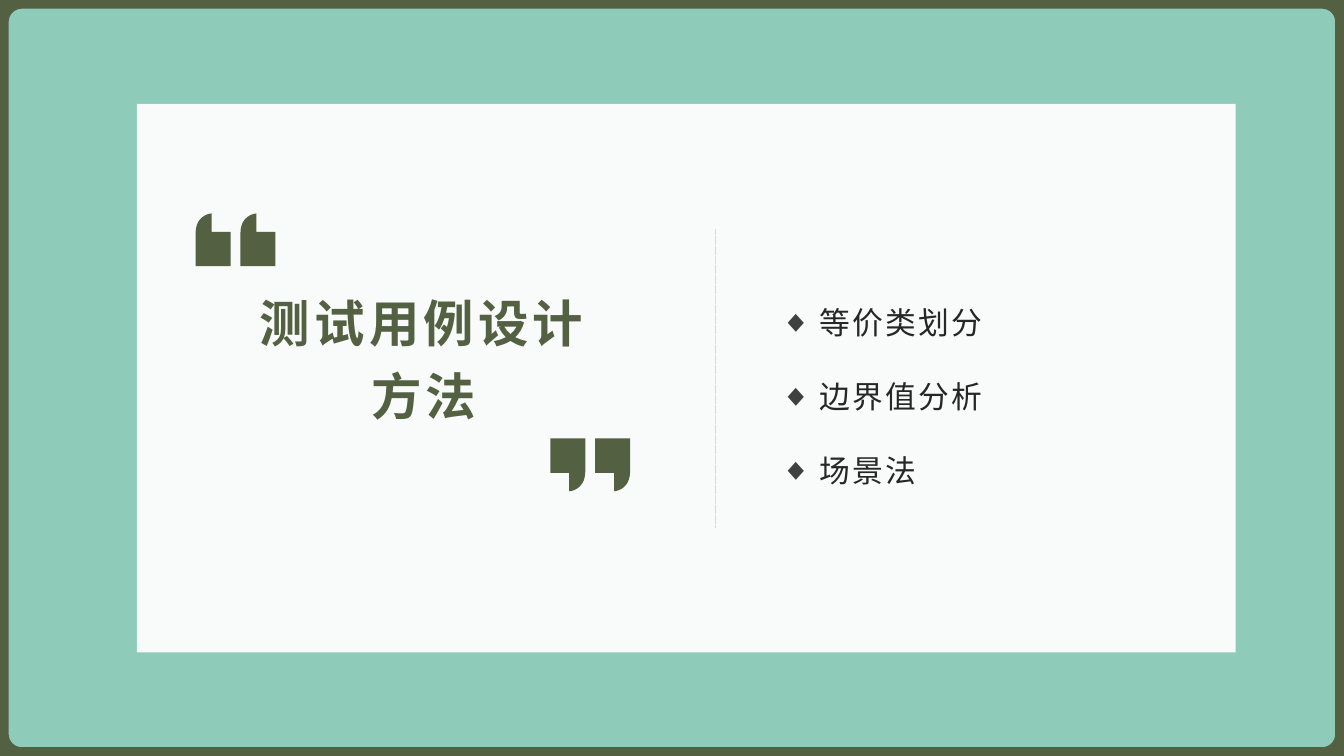
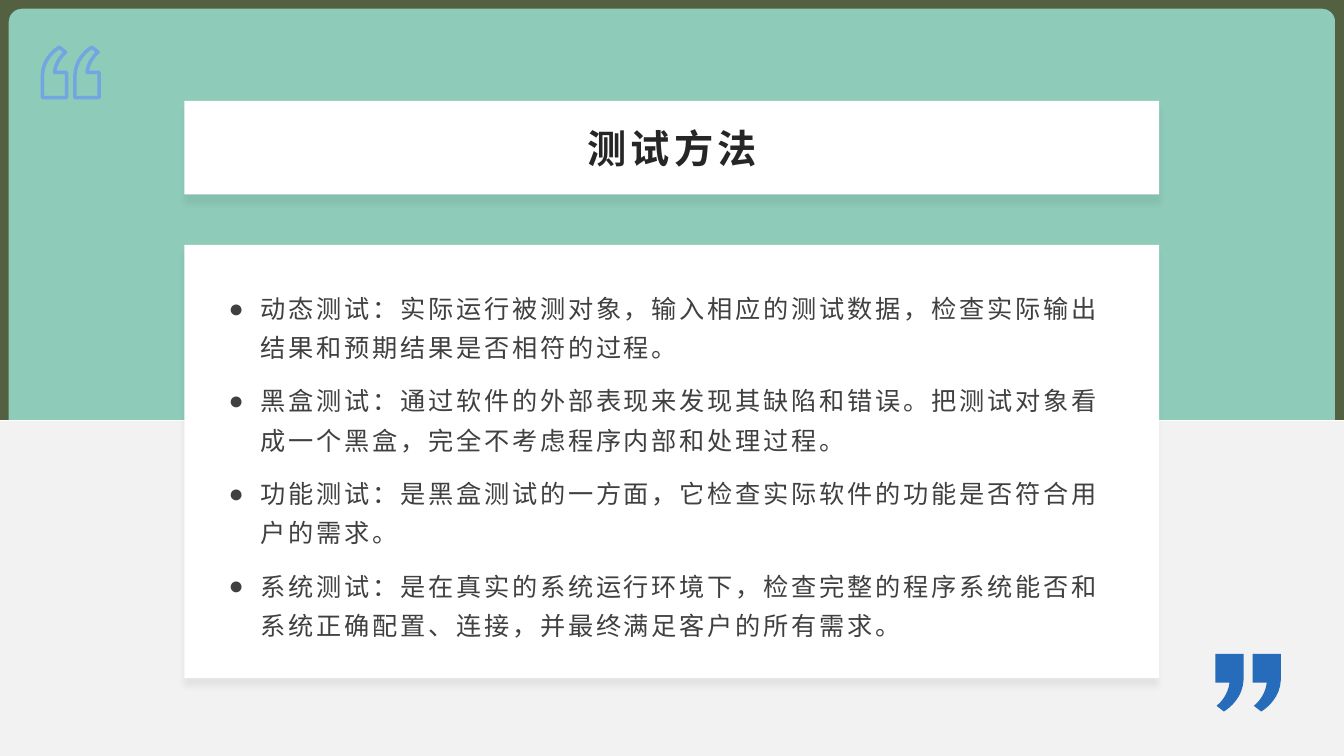
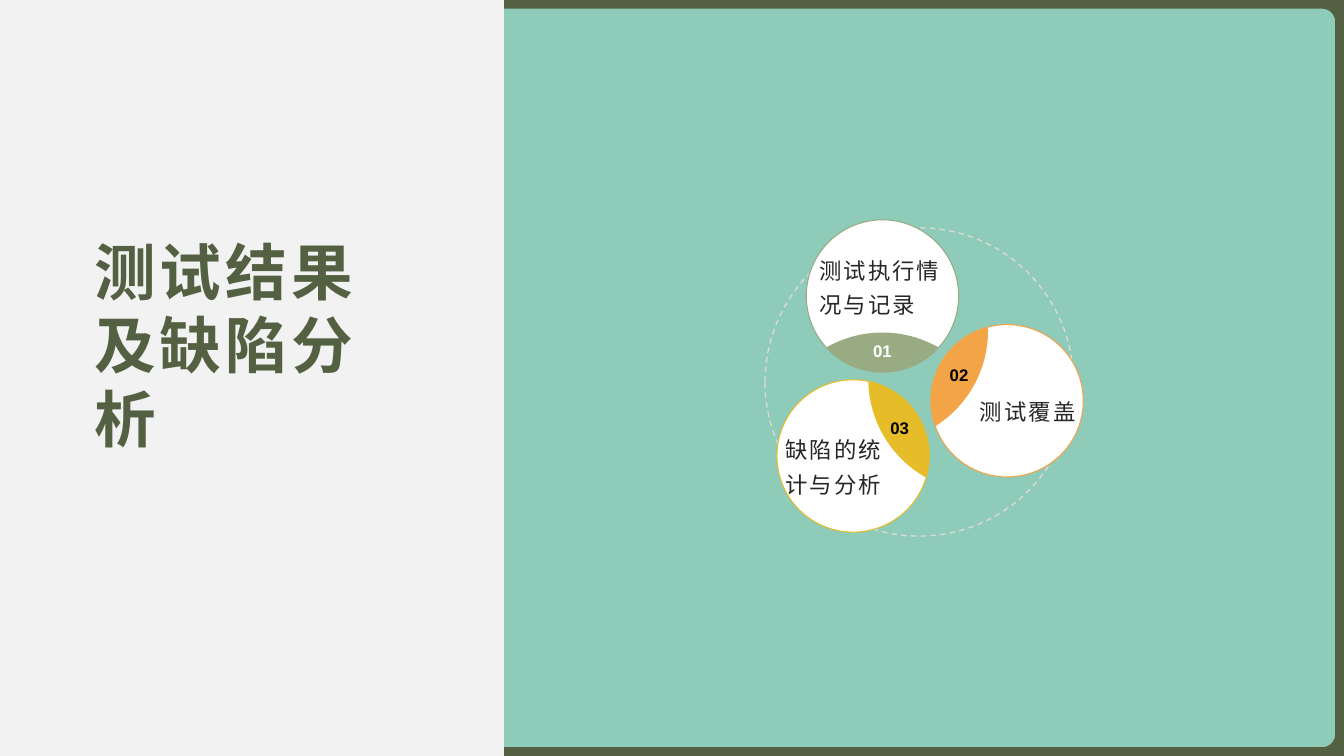
"""Build three slides about software test methods and results."""
from math import asin, cos, degrees, radians, sin

from lxml.etree import SubElement
from pptx import Presentation
from pptx.dml.color import RGBColor
from pptx.enum.dml import MSO_LINE, MSO_PATTERN
from pptx.enum.shapes import MSO_CONNECTOR, MSO_SHAPE
from pptx.enum.text import MSO_ANCHOR, MSO_AUTO_SIZE, PP_ALIGN
from pptx.oxml.ns import qn
from pptx.util import Cm, Pt

WIDTH, HEIGHT = 33.87, 19.05
MINT, OLIVE, WHITE, MIST = "8ECBB8", "536142", "FFFFFF", "F2F2F2"
INK, GREY, RULE = "262626", "404040", "D9D9D9"
BLUE, SKY = "266CBA", "71A6E2"
LATIN, CHINESE = "Arial", "Noto Sans CJK SC"

DESIGN_TITLE = "测试用例设计方法"
DESIGN_METHODS = ["等价类划分", "边界值分析", "场景法"]
TEST_TITLE = "测试方法"
TEST_METHODS = [
    "动态测试：实际运行被测对象，输入相应的测试数据，检查实际输出结果和预期结果是否相符的过程。",
    "黑盒测试：通过软件的外部表现来发现其缺陷和错误。把测试对象看成一个黑盒，完全不考虑程序内部和处理过程。",
    "功能测试：是黑盒测试的一方面，它检查实际软件的功能是否符合用户的需求。",
    "系统测试：是在真实的系统运行环境下，检查完整的程序系统能否和系统正确配置、连接，并最终满足客户的所有需求。",
]
RESULT_TITLE = "测试结果及缺陷分析"
RESULTS = [
    {"number": "01", "caption": "测试执行情况与记录", "color": "99AB83", "number_color": WHITE,
     "center": (22.24, 7.46), "angle": 90, "place": (20.65, 6.27, 3.15, 1.75), "align": PP_ALIGN.LEFT},
    {"number": "02", "caption": "测试覆盖", "color": "F3A447", "number_color": "000000",
     "center": (25.38, 10.1), "angle": 208, "place": (24.64, 8.56, 2.52, 3.4), "align": PP_ALIGN.CENTER},
    {"number": "03", "caption": "缺陷的统计与分析", "color": "E7BC29", "number_color": "000000",
     "center": (21.5, 11.49), "angle": 329, "place": (19.79, 9.98, 2.52, 3.4), "align": PP_ALIGN.LEFT},
]
DISC_RADIUS, BITE_RADIUS, BITE_DISTANCE, NUMBER_DISTANCE = 1.92, 2.84, 3.76, 1.37

BLOCK_MARK = [(0.46, 0), (0.46, 0.35), (1, 0.35), (1, 1), (0, 1), (0, 0.37),
              (0, 0.06, 0.37, 0, 0.46, 0)]
CURLED_MARK = [(0.7, 0), (0.96, 0.1), (0.96, 0.1, 0.56, 0.24, 0.5, 0.5), (1, 0.5), (1, 1),
               (0, 1), (0, 0.55), (0.03, 0.18, 0.7, 0, 0.7, 0)]


def rgb(color):
    """Turn a hex string into a colour."""
    return RGBColor.from_string(color)


def paint(shape, fill=None, line=None, width=0.75):
    """Set fill and line and drop the theme shadow."""
    shape.shadow.inherit = False
    if fill:
        shape.fill.solid()
        shape.fill.fore_color.rgb = rgb(fill)
    else:
        shape.fill.background()
    if line:
        shape.line.color.rgb = rgb(line)
        shape.line.width = Pt(width)
    else:
        shape.line.fill.background()
    return shape


def add_preset(page, kind, place, **look):
    """Add a painted preset shape."""
    return paint(page.shapes.add_shape(kind, *map(Cm, place)), **look)


def add_card(page, place):
    """Add a white card with a soft shadow below it."""
    card = add_preset(page, MSO_SHAPE.RECTANGLE, place, fill=WHITE)
    effects = card._element.spPr.find(qn("a:effectLst"))
    shadow = SubElement(effects, qn("a:outerShdw"), blurRad=str(Pt(4)), dist=str(Pt(6)),
                        dir="5400000", algn="t", rotWithShape="0")
    color = SubElement(shadow, qn("a:srgbClr"), val="000000")
    SubElement(color, qn("a:alpha"), val="6000")


def arc(center, radius, start, end, steps=24):
    """List points along an arc, angles in degrees."""
    angles = [radians(start + (end - start) * i / steps) for i in range(steps + 1)]
    return [(center[0] + radius * cos(a), center[1] + radius * sin(a)) for a in angles]


def flatten(outline, steps=10):
    """Turn points and cubic curves into points."""
    points = []
    for part in outline:
        if len(part) == 2:
            points.append(part)
            continue
        x0, y0 = points[-1]
        x1, y1, x2, y2, x3, y3 = part
        for i in range(1, steps + 1):
            t = i / steps
            u = 1 - t
            a, b, c, d = u ** 3, 3 * u * u * t, 3 * u * t * t, t ** 3
            points.append((a * x0 + b * x1 + c * x2 + d * x3, a * y0 + b * y1 + c * y2 + d * y3))
    return points


def add_outline(page, *contours, **look):
    """Add a painted freeform made of closed contours in centimetres."""
    contours = [[(Cm(x), Cm(y)) for x, y in contour] for contour in contours]
    builder = page.shapes.build_freeform(*contours[0][0], scale=1.0)
    for index, contour in enumerate(contours):
        if index:
            builder.move_to(*contour[0])
        builder.add_line_segments(contour[1:], close=True)
    return paint(builder.convert_to_shape(), **look)


def add_quote(page, mark, place, step, closing=False, **look):
    """Add a pair of quotation marks; closing marks are turned by half."""
    left, top, width, height = place
    points = flatten(mark)
    if closing:
        points = [(1 - x, 1 - y) for x, y in points]
    for offset in (0, step):
        shape = add_outline(page, [(left + offset + x * width, top + y * height)
                                   for x, y in points], **look)
        if look.get("line"):
            SubElement(shape._element.spPr.find(qn("a:ln")), qn("a:round"))


def write(box, lines, size, color, font=CHINESE, bold=False, tracking=0, align=PP_ALIGN.LEFT,
          leading=1.0, before=0, bullet=None, indent=0, wrap=True, inset=None):
    """Fill a box with formatted paragraphs."""
    frame = box.text_frame
    frame.text = "\n".join(lines)
    frame.word_wrap = wrap
    frame.auto_size = MSO_AUTO_SIZE.NONE
    frame.vertical_anchor = MSO_ANCHOR.MIDDLE
    if inset is not None:
        frame.margin_left = frame.margin_right = frame.margin_top = frame.margin_bottom = Cm(inset)
    for para in frame.paragraphs:
        para.alignment = align
        para.line_spacing = leading
        para.space_before = Pt(before)
        if bullet:
            props = para._p.get_or_add_pPr()
            props.set("marL", str(Cm(indent)))
            props.set("indent", str(-Cm(indent)))
            SubElement(SubElement(props, qn("a:buClr")), qn("a:srgbClr"), val=GREY)
            SubElement(props, qn("a:buFont"), typeface=LATIN)
            SubElement(props, qn("a:buChar"), char=bullet)
        for span in para.runs:
            span.font.size = Pt(size)
            span.font.bold = bold
            span.font.color.rgb = rgb(color)
            span.font.name = font
            props = span._r.get_or_add_rPr()
            props.set("spc", str(int(tracking * 100)))
            SubElement(props, qn("a:ea"), typeface=font)


def fill_placeholder(page, index, place, lines, **style):
    """Move a placeholder to the front and fill it."""
    box = page.placeholders[index]
    box.left, box.top, box.width, box.height = map(Cm, place)
    page.shapes._spTree.append(box._element)
    write(box, lines, **style)


def add_title(page, place, text, size, color=OLIVE, **style):
    """Fill the title in the shared title style."""
    fill_placeholder(page, 0, place, [text], size=size, color=color, bold=True, tracking=3, **style)


def add_label(page, place, text, **style):
    """Add a text box without insets."""
    write(page.shapes.add_textbox(*map(Cm, place)), [text], inset=0, **style)


def dress_master(deck, page):
    """Give the master its background and rounded frame."""
    master = deck.slide_master
    master.background.fill.solid()
    master.background.fill.fore_color.rgb = rgb(MINT)
    near, radius = 0.22, 0.33
    low, right, bottom = near + radius, WIDTH - near - radius, HEIGHT - near - radius
    corners = [(right, bottom), (low, bottom), (low, low), (right, low)]
    inner = [point for turn, corner in enumerate(corners)
             for point in arc(corner, radius, turn * 90, turn * 90 + 90, 8)]
    outer = [(0, 0), (WIDTH, 0), (WIDTH, HEIGHT), (0, HEIGHT)]
    frame = add_outline(page, inner, outer, fill=OLIVE)
    master.shapes._spTree.insert(2, frame._element)


def build_design(page):
    """Quoted title beside the design methods."""
    panel = add_preset(page, MSO_SHAPE.RECTANGLE, (3.45, 2.62, 27.69, 13.82), fill=WHITE)
    color = panel._element.spPr.find(qn("a:solidFill"))[0]
    SubElement(color, qn("a:alpha"), val="94000")
    divider = page.shapes.add_connector(MSO_CONNECTOR.STRAIGHT, Cm(18.03), Cm(5.77), Cm(18.03), Cm(13.28))
    divider.line.color.rgb = rgb(RULE)
    divider.line.width = Pt(0.1)
    divider.line.dash_style = MSO_LINE.DASH
    SubElement(divider._element.spPr, qn("a:effectLst"))
    add_quote(page, BLOCK_MARK, (4.93, 5.38, 0.88, 1.33), 1.13, fill=OLIVE)
    add_quote(page, BLOCK_MARK, (13.87, 11.05, 0.88, 1.33), 1.13, closing=True, fill=OLIVE)
    add_title(page, (6.07, 6.91, 9.22, 3.96), DESIGN_TITLE, 36, font=LATIN,
              align=PP_ALIGN.CENTER, leading=1.2)
    fill_placeholder(page, 1, (19.41, 6.53, 7.92, 5.99), DESIGN_METHODS, size=22, color=INK,
                     font=LATIN, tracking=1.5, leading=2.0, bullet="◆", indent=1)


def build_methods(page):
    """Title card above a card of test methods."""
    band = add_preset(page, MSO_SHAPE.RECTANGLE, (0, 10.59, WIDTH, HEIGHT - 10.59))
    band.fill.patterned()
    band.fill.pattern = MSO_PATTERN.DARK_HORIZONTAL
    band.fill.fore_color.rgb = rgb(MIST)
    band.fill.back_color.rgb = rgb(WHITE)
    for top, height in ((2.54, 2.36), (6.17, 10.92)):
        add_card(page, (4.65, top, 24.56, height))
    add_quote(page, CURLED_MARK, (1.07, 1.19, 0.61, 1.27), 0.82, line=SKY, width=2.5)
    add_quote(page, CURLED_MARK, (30.63, 16.48, 0.71, 1.45), 0.94, closing=True, fill=BLUE)
    add_title(page, (5.51, 2.97, 22.86, 1.52), TEST_TITLE, 28, INK, align=PP_ALIGN.CENTER)
    fill_placeholder(page, 1, (5.51, 7.04, 22.86, 9.22), TEST_METHODS, size=18, color=GREY,
                     tracking=2, leading=1.3, before=10, bullet="●", indent=0.79)


def add_disc(page, center, angle, color, number, number_color, caption, place, align):
    """Add a white disc with a coloured, numbered bite and a caption."""
    x, y = center
    across = 2 * DISC_RADIUS
    add_preset(page, MSO_SHAPE.OVAL, (x - DISC_RADIUS, y - DISC_RADIUS, across, across),
               fill=WHITE, line=color)
    dx, dy = cos(radians(angle)), sin(radians(angle))
    bite_center = (x + BITE_DISTANCE * dx, y + BITE_DISTANCE * dy)
    bite_half = 30
    disc_half = degrees(asin(BITE_RADIUS * sin(radians(bite_half)) / DISC_RADIUS))
    add_outline(page, arc(center, DISC_RADIUS, angle - disc_half, angle + disc_half)
                + arc(bite_center, BITE_RADIUS, angle + 180 - bite_half, angle + 180 + bite_half),
                fill=color)
    add_label(page, place, caption, size=16, color=INK, tracking=1.5, leading=1.3, align=align)
    number_place = (x + NUMBER_DISTANCE * dx - 0.55, y + NUMBER_DISTANCE * dy - 0.38, 1.1, 0.76)
    add_label(page, number_place, number, size=12, color=number_color, font=LATIN, bold=True,
              align=PP_ALIGN.CENTER, wrap=False)


def build_results(page):
    """Side title and three discs on a dashed ring."""
    add_preset(page, MSO_SHAPE.RECTANGLE, (0, 0, 12.7, HEIGHT), fill=MIST)
    ring = add_preset(page, MSO_SHAPE.OVAL, (19.28, 5.74, 7.77, 7.77), line=RULE, width=1)
    ring.line.dash_style = MSO_LINE.DASH
    for result in RESULTS:
        add_disc(page, **result)
    add_title(page, (2.12, 5.5, 8.47, 6.35), RESULT_TITLE, 44)


def main():
    """Build and save the deck."""
    deck = Presentation()
    deck.slide_width, deck.slide_height = Cm(WIDTH), Cm(HEIGHT)
    for number, (layout, build) in enumerate([(1, build_design), (1, build_methods), (5, build_results)]):
        page = deck.slides.add_slide(deck.slide_layouts[layout])
        if number == 0:
            dress_master(deck, page)
        build(page)
    deck.save("out.pptx")


if __name__ == "__main__":
    main()
